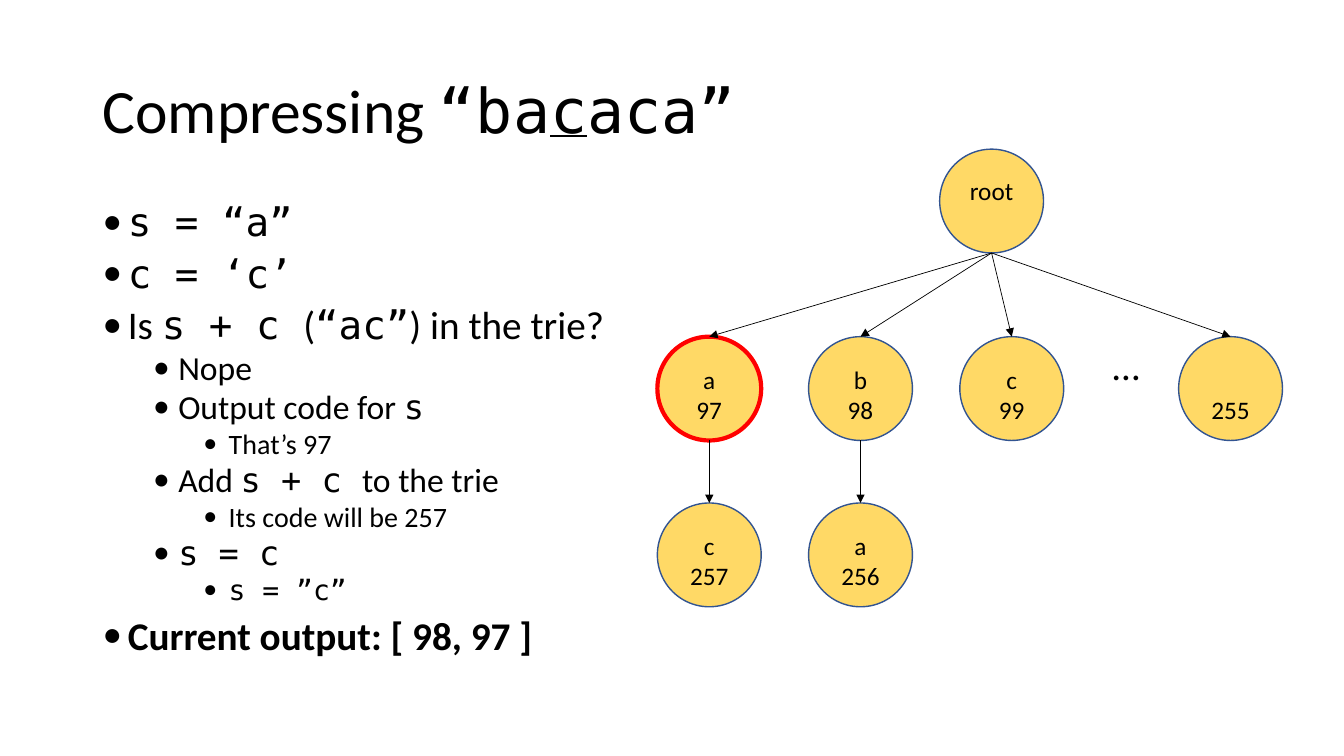
from dataclasses import dataclass
from typing import Any

from lxml.etree import SubElement
from pptx import Presentation
from pptx.dml.color import RGBColor
from pptx.enum.shapes import MSO_CONNECTOR as Connector, MSO_SHAPE as Preset
from pptx.enum.text import MSO_ANCHOR as Anchor, PP_ALIGN as Align
from pptx.oxml.ns import qn
from pptx.util import Inches, Pt


@dataclass(frozen=True)
class Theme:
    """Colours, fonts and type sizes of the slide."""
    ink: RGBColor = RGBColor(0, 0, 0)
    node_fill: RGBColor = RGBColor(0xFF, 0xD9, 0x66)
    node_line: RGBColor = RGBColor(0x32, 0x54, 0x91)
    current: RGBColor = RGBColor(0xFF, 0, 0)
    prose: str = "Calibri"
    code: str = "DejaVu Sans Mono"
    title: int = 44
    levels: tuple[int, ...] = (28, 24, 20)
    label: int = 18


THEME = Theme()
DIAMETER = 1.03
LABEL_DROP, LABEL_HEIGHT = 0.21, 0.71
BULLET_INDENT, LEVEL_STEP = 0.25, 0.5


@dataclass(frozen=True)
class Span:
    """A stretch of text in one format."""
    text: str
    font: str = THEME.prose
    bold: bool = False
    underline: bool = False


@dataclass(frozen=True)
class Step:
    """A bullet of the walkthrough."""
    level: int
    spans: tuple[Span, ...]


@dataclass(frozen=True)
class Node:
    """A node of the trie with its parent's key."""
    key: str
    left: float
    top: float
    lines: tuple[str, ...]
    parent: str = ""
    current: bool = False
    anchor: Anchor = Anchor.BOTTOM

    @property
    def center(self) -> float:
        """Return the horizontal centre."""
        return self.left + DIAMETER / 2


def code(text: str, underline: bool = False) -> Span:
    """Return a span set as code."""
    return Span(text, THEME.code, underline=underline)


HEADING = (Span("Compressing "), code("“ba"), code("c", True), code("aca”"))

STEPS = (
    Step(0, (code("s = “a”"),)),
    Step(0, (code("c = ‘c’"),)),
    Step(0, (Span("Is "), code("s + c "), Span("("), code("“ac”"), Span(") in the trie?"))),
    Step(1, (Span("Nope"),)),
    Step(1, (Span("Output code for "), code("s"))),
    Step(2, (Span("That’s 97"),)),
    Step(1, (Span("Add "), code("s + c "), Span("to the trie"))),
    Step(2, (Span("Its code will be 257"),)),
    Step(1, (code("s = c"),)),
    Step(2, (code("s = ”c”"),)),
    Step(0, (Span("Current output: [ 98, 97 ]", bold=True),)),
)

COLUMNS = [6.52 + 1.5 * column for column in range(3)]
ROOT_TOP, LETTER_TOP, PAIR_TOP = 1.48, 3.34, 4.99

TRIE = (
    Node("root", 9.32, ROOT_TOP, ("root",), anchor=Anchor.TOP),
    Node("a", COLUMNS[0], LETTER_TOP, ("a", "97"), "root", current=True),
    Node("b", COLUMNS[1], LETTER_TOP, ("b", "98"), "root"),
    Node("c", COLUMNS[2], LETTER_TOP, ("c", "99"), "root"),
    Node("last", 11.69, LETTER_TOP, ("255",), "root"),
    Node("ac", COLUMNS[0], PAIR_TOP, ("c", "257"), "a"),
    Node("ba", COLUMNS[1], PAIR_TOP, ("a", "256"), "b"),
)


def apply_format(target: Any, values: dict[str, Any]) -> None:
    """Set every attribute named in the format values."""
    for name, value in values.items():
        setattr(target, name, value)


def add_frame(slide: Any, left: float, top: float, width: float, height: float,
              anchor: Anchor = Anchor.TOP) -> Any:
    """Add a wrapping text box and return its frame."""
    box = slide.shapes.add_textbox(*map(Inches, (left, top, width, height)))
    apply_format(box.text_frame, {"word_wrap": True, "vertical_anchor": anchor})
    return box.text_frame


def add_paragraph(frame: Any, index: int, spans: tuple[Span, ...], size: int,
                  layout: dict[str, Any]) -> Any:
    """Write the spans into the paragraph at the index."""
    paragraph = frame.add_paragraph() if index else frame.paragraphs[0]
    apply_format(paragraph, layout)
    for span in spans:
        run = paragraph.add_run()
        run.text = span.text
        apply_format(run.font, {"name": span.font, "size": Pt(size),
                                "bold": span.bold, "underline": span.underline})
        run.font.color.rgb = THEME.ink
    return paragraph


def add_bullet(paragraph: Any, level: int) -> None:
    """Give the paragraph a hanging bullet."""
    properties = paragraph._p.get_or_add_pPr()
    properties.set("marL", str(Inches(BULLET_INDENT + LEVEL_STEP * level)))
    properties.set("indent", str(-Inches(BULLET_INDENT)))
    SubElement(properties, qn("a:buFont"), typeface=THEME.prose)
    SubElement(properties, qn("a:buChar"), char="•")


def add_label(slide: Any, left: float, top: float, width: float,
              lines: tuple[str, ...], size: int, anchor: Anchor) -> None:
    """Add centred lines of text."""
    frame = add_frame(slide, left, top, width, LABEL_HEIGHT, anchor)
    for index, line in enumerate(lines):
        add_paragraph(frame, index, (Span(line),), size, {"alignment": Align.CENTER})


def add_node(slide: Any, node: Node) -> None:
    """Draw a node's circle and label."""
    circle = slide.shapes.add_shape(
        Preset.OVAL, *map(Inches, (node.left, node.top, DIAMETER, DIAMETER)))
    circle.shadow.inherit = False
    circle.fill.solid()
    circle.fill.fore_color.rgb = THEME.node_fill
    circle.line.color.rgb = THEME.current if node.current else THEME.node_line
    circle.line.width = Pt(3 if node.current else 1)
    add_label(slide, node.left, node.top + LABEL_DROP, DIAMETER,
              node.lines, THEME.label, node.anchor)


def add_edge(slide: Any, parent: Node, child: Node) -> None:
    """Draw an arrow from parent to child."""
    ends = (parent.center, parent.top + DIAMETER, child.center, child.top)
    edge = slide.shapes.add_connector(Connector.STRAIGHT, *map(Inches, ends))
    edge.line.color.rgb = THEME.ink
    edge.line.width = Pt(0.5)
    SubElement(edge.line._get_or_add_ln(), qn("a:tailEnd"), type="triangle")
    SubElement(edge._element.spPr, qn("a:effectLst"))


def main() -> None:
    """Build the slide and save it."""
    deck = Presentation()
    apply_format(deck, {"slide_width": Inches(13.33), "slide_height": Inches(7.5)})
    slide = deck.slides.add_slide(deck.slide_layouts[6])

    heading = add_frame(slide, 0.92, 0.4, 11.5, 1.45, Anchor.MIDDLE)
    add_paragraph(heading, 0, HEADING, THEME.title, {"line_spacing": 0.9})

    walkthrough = add_frame(slide, 0.92, 2, 5.44, 4.76)
    for index, step in enumerate(STEPS):
        layout = {"level": step.level, "line_spacing": 0.8,
                  "space_before": Pt(5 if step.level else 10)}
        paragraph = add_paragraph(walkthrough, index, step.spans,
                                  THEME.levels[step.level], layout)
        add_bullet(paragraph, step.level)

    for node in TRIE:
        add_node(slide, node)
    add_label(slide, 10.52, LETTER_TOP, 1.3, ("…",), THEME.levels[0], Anchor.TOP)
    nodes = {node.key: node for node in TRIE}
    for node in TRIE:
        if node.parent:
            add_edge(slide, nodes[node.parent], node)

    deck.save("out.pptx")


if __name__ == "__main__":
    main()
